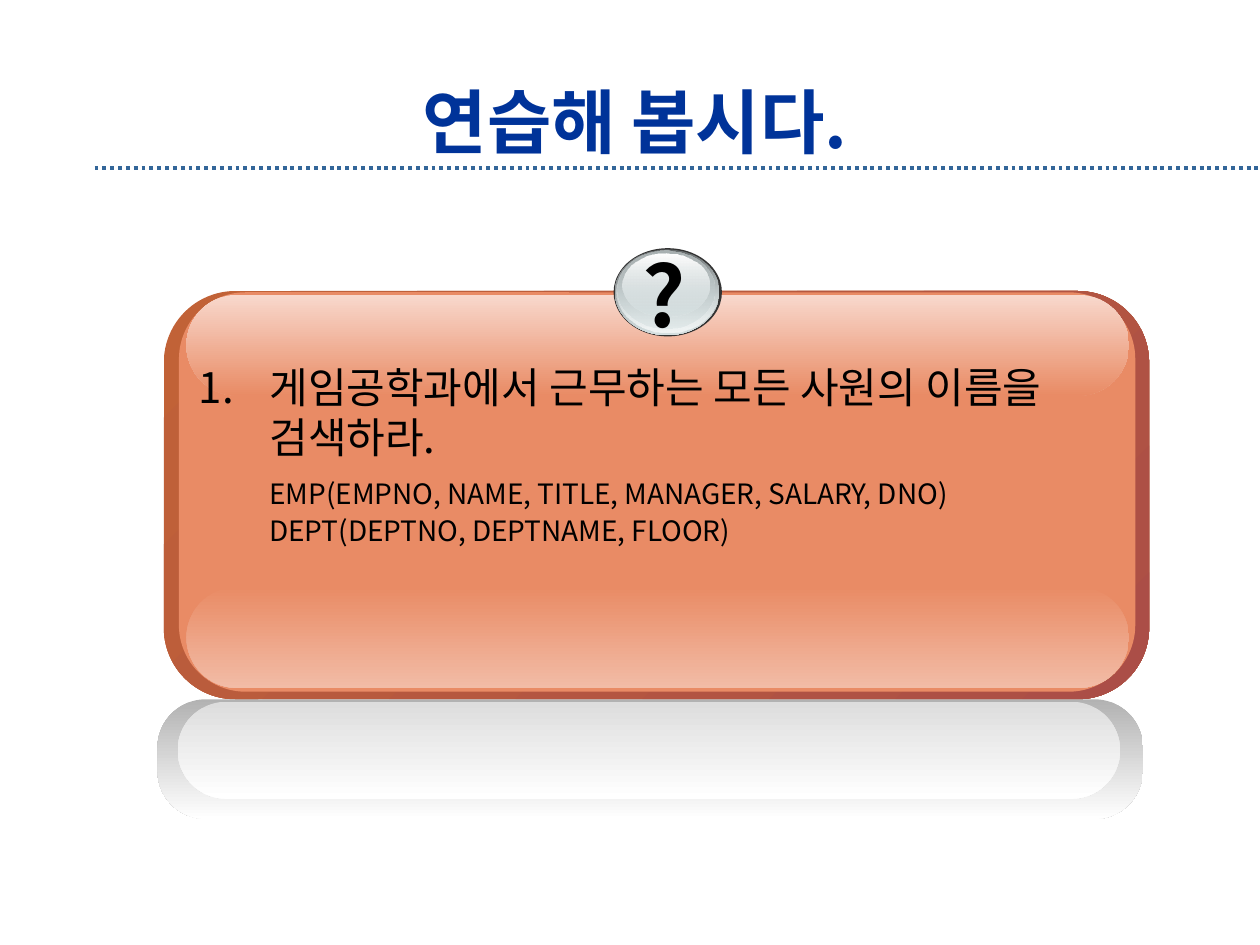
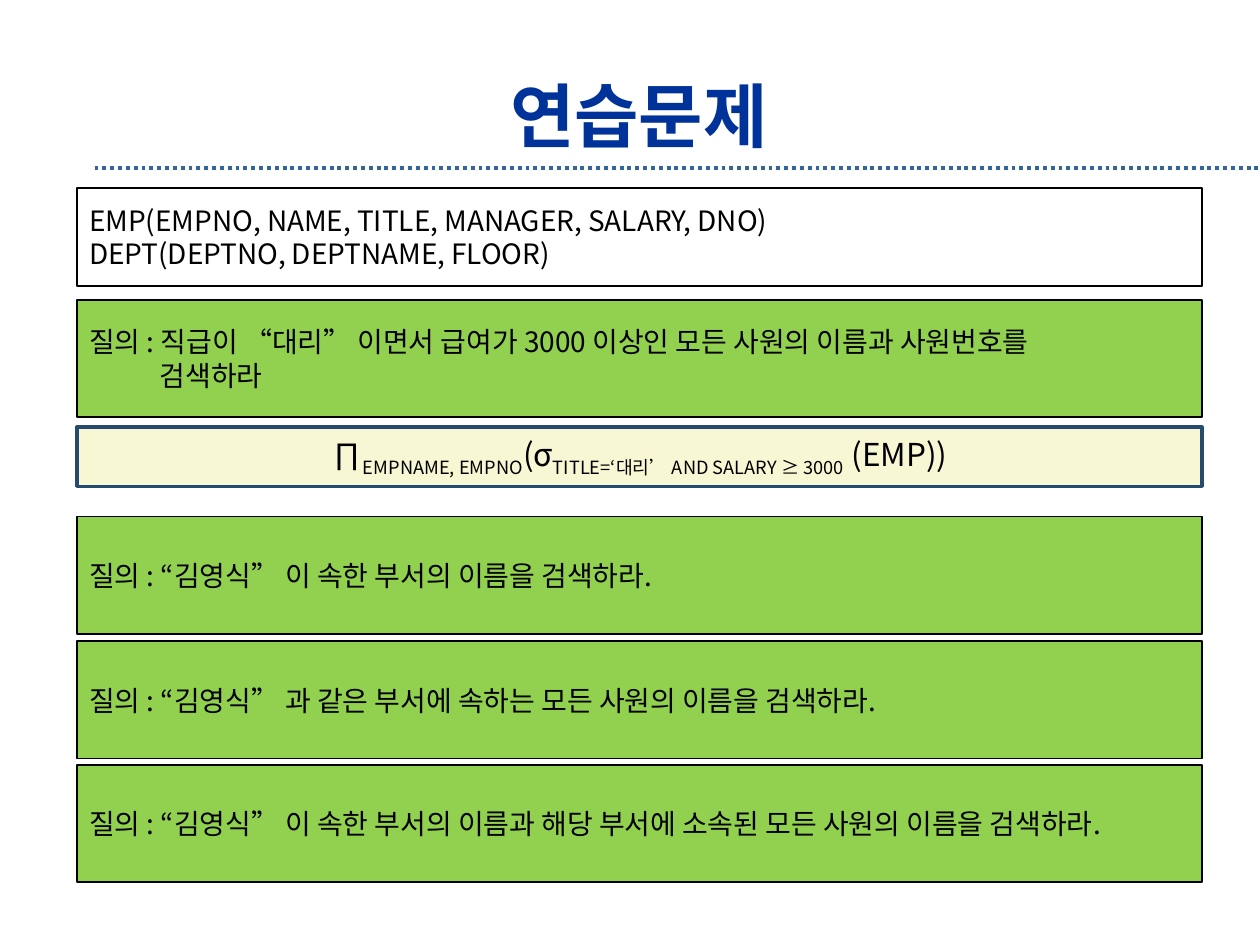
from lxml.etree import SubElement
from pptx import Presentation
from pptx.dml.color import RGBColor
from pptx.enum.dml import MSO_LINE
from pptx.enum.shapes import MSO_CONNECTOR, MSO_SHAPE as Preset
from pptx.enum.text import MSO_ANCHOR as Anchor, PP_ALIGN as Align
from pptx.oxml.ns import qn
from pptx.util import Inches, Pt

FONT = "Noto Sans CJK KR"
BLACK = RGBColor(0x00, 0x00, 0x00)
WHITE = RGBColor(0xFF, 0xFF, 0xFF)
TITLE_BLUE = RGBColor(0x00, 0x33, 0x99)
RULE_BLUE = RGBColor(0x33, 0x66, 0x99)
NAVY = RGBColor(0x26, 0x4B, 0x71)
GREEN = RGBColor(0x92, 0xD0, 0x50)
CREAM = RGBColor(0xF4, 0xF1, 0xB2)
RUST = RGBColor(0xC1, 0x62, 0x37)
BRICK = RGBColor(0xAB, 0x4E, 0x47)
ORANGE = RGBColor(0xE9, 0x8B, 0x65)
PEACH = RGBColor(0xF2, 0xBC, 0xA6)
BLUSH = RGBColor(0xF8, 0xD8, 0xCC)
CHARCOAL = RGBColor(0x33, 0x33, 0x33)
SLATE = RGBColor(0x63, 0x68, 0x69)
STEEL = RGBColor(0xAA, 0xB2, 0xB3)
MIST = RGBColor(0xD6, 0xE1, 0xE2)
FROST = RGBColor(0xF1, 0xF5, 0xF5)
GRAY = RGBColor(0xB2, 0xB2, 0xB2)
LIGHT_GRAY = RGBColor(0xDD, 0xDD, 0xDD)

# Content
SCHEMA = ["EMP(EMPNO, NAME, TITLE, MANAGER, SALARY, DNO)",
          "DEPT(DEPTNO, DEPTNAME, FLOOR)"]

PRACTICE_TITLE = ("연습해 봅시다.", (0.75, 0.67, 8.58, 0.58))
QUESTION = "게임공학과에서 근무하는 모든 사원의 이름을 검색하라."

EXERCISE_TITLE = ("연습문제", (0.78, 0.62, 8.58, 0.58))
FORMULA = [("∏", False), ("EMPNAME, EMPNO", True), ("(σ", False),
           ("TITLE=‘대리’ AND SALARY ≥ 3000", True), (" (EMP))", False)]
# top, height, fill, lines
EXERCISE_BOXES = [
    (1.49, 0.78, WHITE, SCHEMA),
    (2.38, 0.93, GREEN,
     ["질의 : 직급이 “대리” 이면서 급여가 3000 이상인 모든 사원의 이름과 사원번호를",
      "검색하라"]),
    (4.1, 0.93, GREEN, ["질의 : “김영식” 이 속한 부서의 이름을 검색하라."]),
    (5.09, 0.93, GREEN,
     ["질의 : “김영식” 과 같은 부서에 속하는 모든 사원의 이름을 검색하라."]),
    (6.07, 0.93, GREEN,
     ["질의 : “김영식” 이 속한 부서의 이름과 해당 부서에 소속된 모든 사원의 이름을 검색하라."]),
]
BOX_LEFT, BOX_WIDTH = 0.61, 8.93
HANGING = 0.56

# Layers from back to front: place, corner radius, fill stops, angle
PANEL_LAYERS = [
    ((1.3, 2.31, 7.82, 3.24), 0.175, [(RUST, 100), (BRICK, 100)], 45),
    ((1.42, 2.32, 7.59, 3.17), 0.167, [(ORANGE, 100)], 90),
    ((1.48, 4.66, 7.48, 0.8), 0.5, [(ORANGE, 100), (PEACH, 100)], 90),
    ((1.48, 2.34, 7.48, 0.8), 0.5, [(BLUSH, 100), (ORANGE, 100)], 90),
    ((1.25, 5.55, 7.82, 0.95), 0.404, [(GRAY, 100), (WHITE, 100)], 90),
    ((1.41, 5.57, 7.48, 0.77), 0.5, [(LIGHT_GRAY, 100), (WHITE, 100)], 90),
]
BADGE_LAYERS = [
    ((4.87, 1.97, 0.86, 0.7), None, [(CHARCOAL, 100)], 90),
    ((4.88, 1.98, 0.83, 0.68), None, [(SLATE, 100), (MIST, 100)], 90),
    ((4.89, 1.98, 0.81, 0.66), None, [(MIST, 0), (FROST, 100)], 90),
    ((4.9, 1.99, 0.77, 0.62), None, [(STEEL, 100), (MIST, 48)], 90),
    ((4.94, 2.01, 0.69, 0.5), None, [(WHITE, 100), (MIST, 38)], 90),
]


def paint(shape, stops, angle=90):
    """Fill with one colour or a two-stop gradient of (colour, opacity)."""
    fill = shape.fill
    if len(stops) == 1:
        fill.solid()
        fill.fore_color.rgb = stops[0][0]
    else:
        fill.gradient()
        fill.gradient_angle = 360 - angle
        for stop, (colour, _) in zip(fill.gradient_stops, stops):
            stop.color.rgb = colour
    colours = shape._element.spPr.findall(".//" + qn("a:srgbClr"))
    for element, (_, opacity) in zip(colours, stops):
        if opacity < 100:
            SubElement(element, qn("a:alpha"), val=str(opacity * 1000))


def add_shape(page, preset, place, stops, angle=90):
    shape = page.shapes.add_shape(preset, *map(Inches, place))
    shape.shadow.inherit = False
    shape.line.fill.background()
    paint(shape, stops, angle)
    return shape


def add_layers(page, layers):
    for place, radius, stops, angle in layers:
        preset = Preset.OVAL if radius is None else Preset.ROUNDED_RECTANGLE
        shape = add_shape(page, preset, place, stops, angle)
        if radius is not None:
            shape.adjustments[0] = radius


def add_text_box(page, place, anchor=Anchor.TOP):
    frame = page.shapes.add_textbox(*map(Inches, place)).text_frame
    frame.word_wrap = True
    frame.vertical_anchor = anchor
    return frame


def style(para, size, colour=BLACK, bold=False, align=Align.LEFT):
    para.alignment = align
    font = para.font
    font.name, font.size, font.bold = FONT, Pt(size), bold
    font.color.rgb = colour
    defaults = para._p.pPr.find(qn("a:defRPr"))
    SubElement(defaults, qn("a:ea"), typeface=FONT)


def indent(para, left, first=0):
    properties = para._p.get_or_add_pPr()
    properties.set("marL", str(Inches(left)))
    properties.set("indent", str(Inches(first)))
    return properties


def write_lines(frame, lines, size):
    """Fill the frame with one paragraph a line and return them."""
    frame.text = "\n".join(lines)
    for para in frame.paragraphs:
        style(para, size)
    return frame.paragraphs


def add_page(deck, title, place):
    """A blank page with the shared dotted rule and title."""
    page = deck.slides.add_slide(deck.slide_layouts[6])
    rule = page.shapes.add_connector(
        MSO_CONNECTOR.STRAIGHT, Inches(0.75), Inches(1.33), Inches(10), Inches(1.33))
    rule.line.color.rgb = RULE_BLUE
    rule.line.width = Pt(2.25)
    rule.line.dash_style = MSO_LINE.ROUND_DOT
    SubElement(rule._element.spPr, qn("a:effectLst"))
    para = add_text_box(page, place, Anchor.MIDDLE).paragraphs[0]
    para.text = title
    style(para, 40, TITLE_BLUE, bold=True, align=Align.CENTER)
    return page


def build_practice(deck):
    page = add_page(deck, *PRACTICE_TITLE)
    add_layers(page, PANEL_LAYERS)
    add_layers(page, BADGE_LAYERS)

    # Question mark on the badge
    mark = add_text_box(page, (5, 1.88, 0.58, 0.91)).paragraphs[0]
    mark.text = "?"
    style(mark, 48, bold=True)

    # Numbered question, then the schema
    frame = add_text_box(page, (1.48, 2.82, 7.58, 1.58))
    question = frame.paragraphs[0]
    question.text = QUESTION
    properties = indent(question, HANGING, -HANGING)
    SubElement(properties, qn("a:buFont"), typeface=FONT)
    SubElement(properties, qn("a:buAutoNum"), type="arabicPeriod")
    style(question, 24)
    for line, before in zip(SCHEMA, (8, 2)):
        para = frame.add_paragraph()
        para.text = line
        para.space_before = Pt(before)
        indent(para, HANGING)
        style(para, 16)


def add_exercise_box(page, top, height, stops, line_colour=BLACK, line_width=1):
    box = add_shape(page, Preset.RECTANGLE, (BOX_LEFT, top, BOX_WIDTH, height), stops)
    box.line.color.rgb = line_colour
    box.line.width = Pt(line_width)
    frame = box.text_frame
    frame.word_wrap = True
    frame.vertical_anchor = Anchor.MIDDLE
    return frame


def build_exercises(deck):
    page = add_page(deck, *EXERCISE_TITLE)
    for top, height, colour, lines in EXERCISE_BOXES:
        frame = add_exercise_box(page, top, height, [(colour, 100)])
        paras = write_lines(frame, lines, 16)
        if colour == GREEN:
            for para in paras[1:]:
                indent(para, HANGING)

    # Relational algebra answer
    frame = add_exercise_box(page, 3.39, 0.47, [(CREAM, 56)], NAVY, 2)
    para = frame.paragraphs[0]
    style(para, 18, align=Align.CENTER)
    for text, is_subscript in FORMULA:
        span = para.add_run()
        span.text = text
        if is_subscript:
            span._r.get_or_add_rPr().set("baseline", "-25000")


def main():
    deck = Presentation()
    deck.slide_width, deck.slide_height = Inches(10), Inches(7.5)
    build_practice(deck)
    build_exercises(deck)
    deck.save("out.pptx")


if __name__ == "__main__":
    main()
